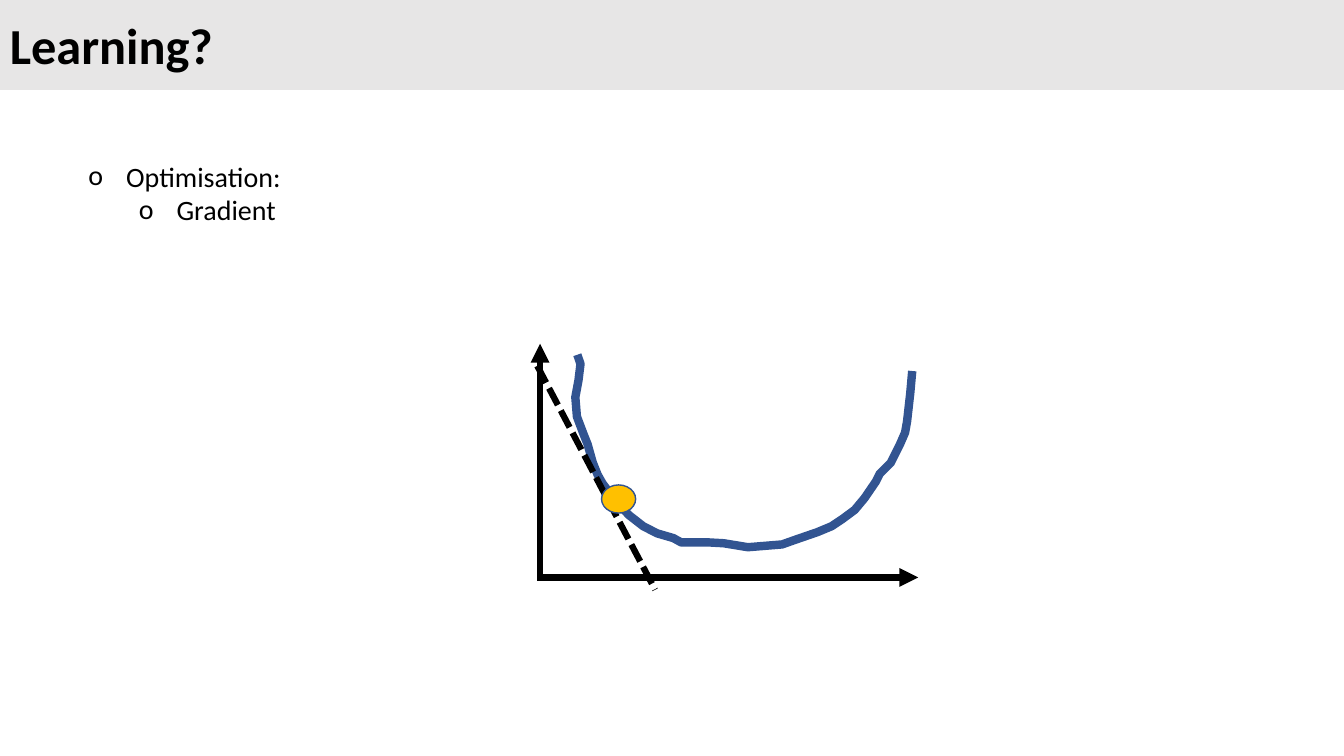
from pptx import Presentation
from pptx.dml.color import RGBColor
from pptx.enum.dml import MSO_LINE
from pptx.enum.shapes import MSO_CONNECTOR, MSO_SHAPE
from pptx.enum.text import MSO_ANCHOR, PP_ALIGN
from pptx.oxml.ns import qn
from pptx.util import Cm, Pt
from lxml import etree

RECTANGLE = MSO_SHAPE.RECTANGLE
OVAL = MSO_SHAPE.OVAL
STRAIGHT = MSO_CONNECTOR.STRAIGHT
DASHED = MSO_LINE.SQUARE_DOT
MIDDLE = MSO_ANCHOR.MIDDLE
LEFT = PP_ALIGN.LEFT

LOSS_CURVE = [
    (14.55, 8.94), (14.63, 9.17), (14.58, 9.58), (14.5, 10.01), (14.54, 10.5),
    (14.71, 10.95), (14.81, 11.2), (14.94, 11.66), (15.06, 11.96), (15.19, 12.19),
    (15.54, 12.65), (15.85, 12.98), (16.21, 13.26), (16.56, 13.44), (16.97, 13.56),
    (17.17, 13.67), (17.88, 13.67), (18.24, 13.69), (18.85, 13.79), (19.71, 13.72),
    (20.02, 13.61), (20.6, 13.41), (20.96, 13.26), (21.23, 13.08), (21.54, 12.85),
    (21.79, 12.55), (22.07, 12.14), (22.17, 11.94), (22.45, 11.66), (22.68, 11.2),
    (22.81, 10.9), (22.86, 10.62), (22.94, 9.91), (22.99, 9.35),
]


def color(value):
    return RGBColor.from_string(value)


class SlideBuilder:
    font = "Calibri"
    black = "000000"
    band = "E7E6E6"
    blue = "325491"
    amber = "FFC000"

    def __init__(self, slide):
        self.slide = slide

    def add_run(self, paragraph, text, size, bold=False):
        run = paragraph.add_run()
        run.text = text
        run.font.name = self.font
        run.font.size = Pt(size)
        run.font.bold = bold
        run.font.color.rgb = color(self.black)

    def add_block(self, kind, left, top, width, height, fill, outline):
        shape = self.slide.shapes.add_shape(kind, Cm(left), Cm(top), Cm(width), Cm(height))
        shape.shadow.inherit = False
        shape.fill.solid()
        shape.fill.fore_color.rgb = color(fill)
        shape.line.color.rgb = color(outline)
        shape.line.width = Pt(1)
        return shape

    def add_title(self, text):
        shape = self.add_block(RECTANGLE, 0, 0, 33.87, 2.26, self.band, self.band)
        shape.text_frame.vertical_anchor = MIDDLE
        paragraph = shape.text_frame.paragraphs[0]
        paragraph.alignment = LEFT
        self.add_run(paragraph, text, 36, bold=True)

    def add_bullets(self, left, top, width, height, items):
        box = self.slide.shapes.add_textbox(Cm(left), Cm(top), Cm(width), Cm(height))
        frame = box.text_frame
        frame.word_wrap = True
        for index, (level, text) in enumerate(items):
            paragraph = frame.add_paragraph() if index else frame.paragraphs[0]
            paragraph.level = level
            properties = paragraph._p.get_or_add_pPr()
            properties.set("marL", str(Cm(0.95 + 1.27 * level)))
            properties.set("indent", str(-Cm(0.95)))
            etree.SubElement(properties, qn("a:buFont"), typeface=self.font)
            etree.SubElement(properties, qn("a:buChar"), char="o")
            self.add_run(paragraph, text, 20)

    def add_line(self, start, end, arrow=False, dash=None):
        connector = self.slide.shapes.add_connector(
            STRAIGHT, *(Cm(value) for value in start + end))
        connector.line.color.rgb = color(self.black)
        connector.line.width = Pt(4.5)
        if dash is not None:
            connector.line.dash_style = dash
        if arrow:
            etree.SubElement(connector.line._get_or_add_ln(), qn("a:tailEnd"), type="triangle")
        etree.SubElement(connector._element.spPr, qn("a:effectLst"))

    def add_curve(self, points):
        corners = [(Cm(x), Cm(y)) for x, y in points]
        builder = self.slide.shapes.build_freeform(*corners[0])
        builder.add_line_segments(corners[1:], close=False)
        shape = builder.convert_to_shape()
        shape.shadow.inherit = False
        shape.fill.background()
        shape.line.color.rgb = color(self.blue)
        shape.line.width = Pt(6)
        etree.SubElement(shape.line._get_or_add_ln(), qn("a:round"))


def main():
    presentation = Presentation()
    presentation.slide_width = Cm(33.87)
    presentation.slide_height = Cm(19.05)
    builder = SlideBuilder(presentation.slides.add_slide(presentation.slide_layouts[6]))

    builder.add_title("Learning?")
    builder.add_bullets(1.98, 3.89, 5.41, 2.82, [(0, "Optimisation:"), (1, "Gradient")])
    builder.add_line((13.54, 14.55), (23.14, 14.55), arrow=True)
    builder.add_line((13.61, 14.55), (13.61, 8.66), arrow=True)
    builder.add_curve(LOSS_CURVE)
    builder.add_line((13.54, 9.22), (16.51, 14.86), dash=DASHED)
    builder.add_block(OVAL, 15.16, 12.22, 0.86, 0.71, builder.amber, builder.blue)

    presentation.save("out.pptx")


if __name__ == "__main__":
    main()
